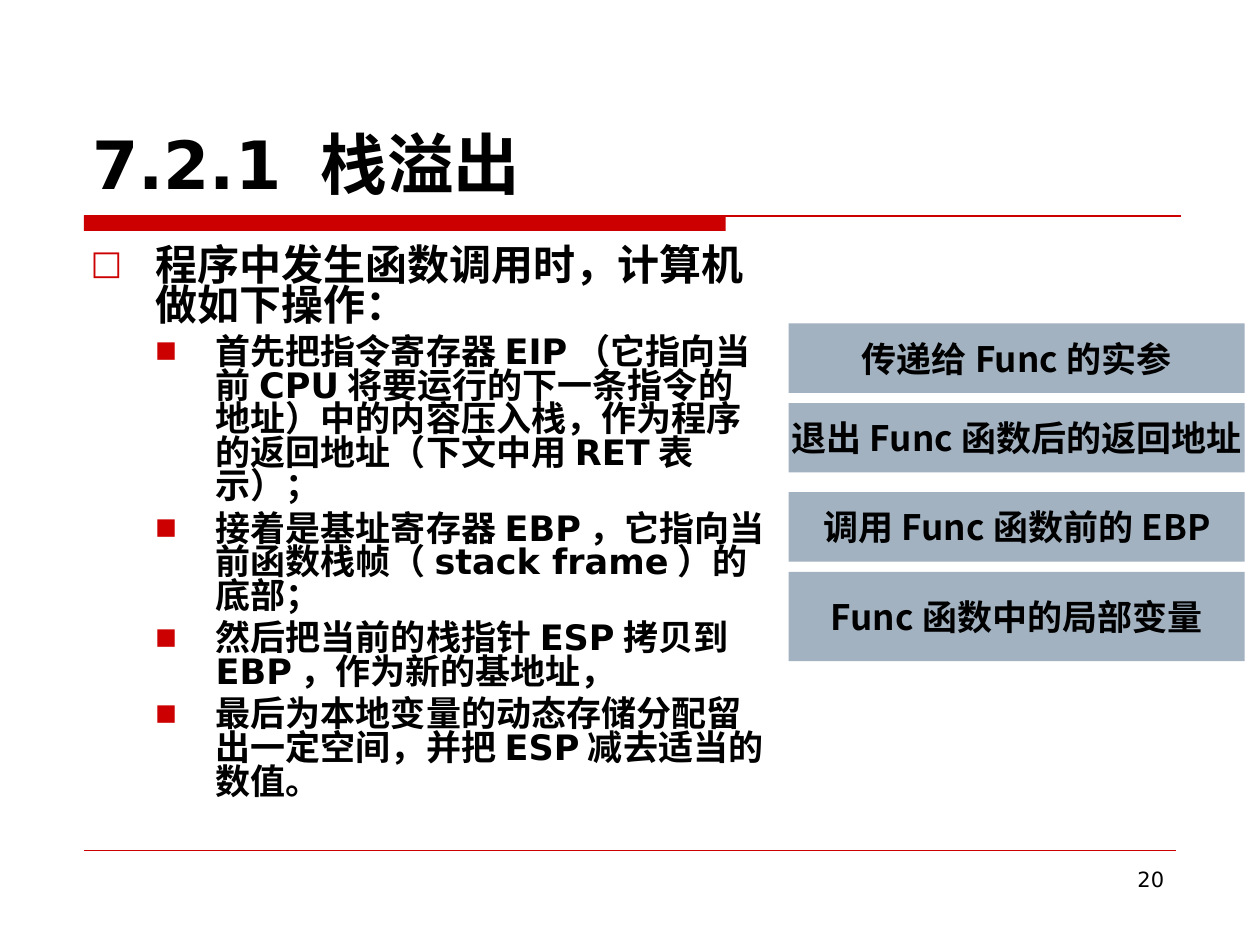
from lxml.etree import SubElement
from pptx import Presentation
from pptx.dml.color import RGBColor
from pptx.enum.shapes import MSO_CONNECTOR as CONN, MSO_SHAPE as SHAPE
from pptx.enum.text import MSO_ANCHOR as ANCHOR, MSO_AUTO_SIZE as AUTO, PP_ALIGN as ALIGN
from pptx.oxml.ns import qn
from pptx.util import Pt

COLORS = {"text": "000000", "accent": "CC0000", "frame": "A3B2C1"}
LATIN, CJK = "DejaVu Sans", "Noto Sans CJK SC"

# level: bullet, bullet size in %, left margin, hanging indent, text size, space before
LEVELS = [("□", 80, 37, 37, 24, 0), ("■", 65, 71.5, 34.5, 20, 5)]

STEPS = [
    (0, "程序中发生函数调用时，计算机做如下操作："),
    (1, "首先把指令寄存器EIP（它指向当前CPU将要运行的下一条指令的地址）中的内容压入栈，"
        "作为程序的返回地址（下文中用RET表示）；"),
    (1, "接着是基址寄存器EBP，它指向当前函数栈帧（stack frame）的底部；"),
    (1, "然后把当前的栈指针ESP拷贝到EBP，作为新的基地址，"),
    (1, "最后为本地变量的动态存储分配留出一定空间，并把ESP减去适当的数值。"),
]

# stack frame rows: top, height, label
FRAME = [
    (184.8, 39.7, "传递给Func的实参"),
    (230.3, 39.7, "退出Func函数后的返回地址"),
    (281.2, 39.7, "调用Func函数前的EBP"),
    (326.8, 51, "Func函数中的局部变量"),
]


def rgb(name):
    return RGBColor.from_string(COLORS[name])


class SlideBuilder:
    def __init__(self, slide):
        self.s = slide

    def run(self, p, text, size, font=LATIN, bold=True):
        r = p.add_run()
        r.text = text
        r.font.size, r.font.bold, r.font.name = Pt(size), bold, font
        r.font.color.rgb = rgb("text")
        SubElement(r.font._element, qn("a:ea")).set("typeface", CJK)

    def place(self, sp, left, top, width, height):
        sp.left, sp.top, sp.width, sp.height = map(Pt, (left, top, width, height))
        tf = sp.text_frame
        tf.auto_size, tf.word_wrap = AUTO.NONE, True
        return tf

    def title(self, text, *box):
        tf = self.place(self.s.shapes.title, *box)
        tf.vertical_anchor = ANCHOR.BOTTOM
        p = tf.paragraphs[0]
        p.alignment = ALIGN.LEFT
        self.run(p, text, 38)

    def bullet(self, p, char, percent, margin, hang):
        pPr = p._p.get_or_add_pPr()
        pPr.set("marL", str(Pt(margin)))
        pPr.set("indent", str(-Pt(hang)))
        pPr.set("hangingPunct", "0")  # keep punctuation inside the column
        color = SubElement(pPr, qn("a:buClr"))
        SubElement(color, qn("a:srgbClr")).set("val", COLORS["accent"])
        SubElement(pPr, qn("a:buSzPct")).set("val", str(percent * 1000))
        SubElement(pPr, qn("a:buFont")).set("typeface", LATIN)
        SubElement(pPr, qn("a:buChar")).set("char", char)

    def body(self, items, *box):
        tf = self.place(self.s.placeholders[1], *box)
        for i, (level, text) in enumerate(items):
            p = tf.paragraphs[0] if i == 0 else tf.add_paragraph()
            char, percent, margin, hang, size, before = LEVELS[level]
            p.level = level
            self.bullet(p, char, percent, margin, hang)
            p.line_spacing, p.space_before = 0.8, Pt(before)
            self.run(p, text, size)

    def rect(self, color, *box):
        sp = self.s.shapes.add_shape(SHAPE.RECTANGLE, *map(Pt, box))
        sp.shadow.inherit = False
        sp.fill.solid()
        sp.fill.fore_color.rgb = rgb(color)
        sp.line.fill.background()
        return sp

    def frame_row(self, text, *box):
        tf = self.rect("frame", *box).text_frame
        tf.word_wrap, tf.vertical_anchor = False, ANCHOR.MIDDLE
        p = tf.paragraphs[0]
        p.alignment = ALIGN.CENTER
        self.run(p, text, 20, CJK)

    def rule(self, left, right, y, weight):
        line = self.s.shapes.add_connector(CONN.STRAIGHT, Pt(left), Pt(y), Pt(right), Pt(y))
        line.line.color.rgb, line.line.width = rgb("accent"), Pt(weight)
        SubElement(line._element.spPr, qn("a:effectLst"))

    def number(self, text, *box):
        tf = self.place(self.s.shapes.add_textbox(*map(Pt, box)), *box)
        p = tf.paragraphs[0]
        p.alignment = ALIGN.RIGHT
        self.run(p, text, 12, bold=False)


def main():
    prs = Presentation()
    prs.slide_width, prs.slide_height = Pt(720), Pt(540)
    b = SlideBuilder(prs.slides.add_slide(prs.slide_layouts[1]))

    # Title with its red bar and rule
    b.title("7.2.1 栈溢出", 45.4, 23.8, 630, 95.8)
    b.rect("accent", 48, 123.1, 366.7, 8.9)
    b.rule(48, 674.6, 123.4, 1)

    # Steps of a function call
    b.body(STEPS, 44.6, 138.2, 400.3, 336.2)

    # Stack frame rows
    for top, height, label in FRAME:
        b.frame_row(label, 450.7, top, 260.6, height)

    # Footer
    b.rule(48, 672, 486, 0.25)
    b.number("20", 516.2, 491.8, 156.2, 37.4)

    prs.save("out.pptx")


if __name__ == "__main__":
    main()
